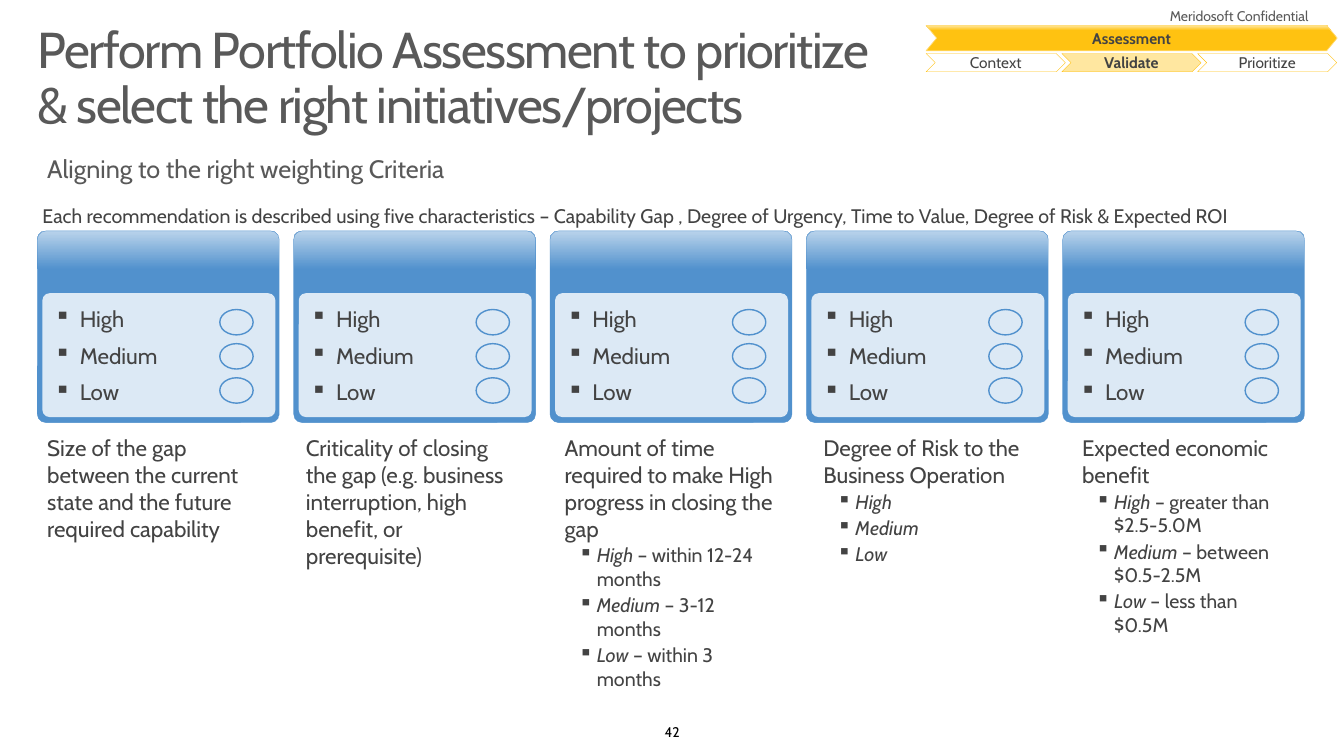
import copy

import lxml.etree
import pptx
import pptx.dml.color
import pptx.enum.shapes
import pptx.enum.text
import pptx.oxml.ns
import pptx.util

Cm, Pt = pptx.util.Cm, pptx.util.Pt
SHAPE = pptx.enum.shapes.MSO_SHAPE
ALIGN = pptx.enum.text.PP_ALIGN
ANCHOR = pptx.enum.text.MSO_ANCHOR
FIT = pptx.enum.text.MSO_AUTO_SIZE.SHAPE_TO_FIT_TEXT

COLORS = {
    "text": "434343", "heading": "595959", "black": "000000", "white": "FFFFFF",
    "blue": "5191CD", "sky": "B9D3EB", "ice": "DCE9F5",
    "gold": "FFC211", "sand": "FFE7A0", "wheat": "FFDA70",
}

TITLE = "Perform Portfolio Assessment to prioritize & select the right initiatives/projects"
SUBTITLE = "Aligning to the right weighting Criteria"
INTRO = ("Each recommendation is described using five characteristics – Capability Gap , "
         "Degree of Urgency, Time to Value, Degree of Risk & Expected ROI")
CONFIDENTIAL = "Meridosoft Confidential"
PAGE_NUMBER = "42"
STAGE = "Assessment"
PHASES = [("Context", "white", False), ("Validate", "sand", True), ("Prioritize", None, False)]
LEVELS = ["High", "Medium", "Low"]

# description, explanation of each level, height of the description
CRITERIA = [
    ("Size of the gap between the current state and the future required capability", [], 3.0),
    ("Criticality of closing the gap (e.g. business interruption, high benefit, or prerequisite)",
     [], 4.37),
    ("Amount of time required to make High progress in closing the gap",
     ["– within 12-24 months", "– 3-12 months", "– within 3 months"], 6.76),
    ("Degree of Risk to the Business Operation", ["", "", ""], 3.61),
    ("Expected economic benefit",
     ["– greater than $2.5-5.0M", "– between $0.5-2.5M", "– less than $0.5M"], 5.38),
]

LEFT = 0.94
CARD_STEP, CARD_TOP, CARD_WIDTH, CARD_HEIGHT = 6.46, 5.82, 6.1, 4.83
PANEL_INSET, PANEL_TOP, PANEL_WIDTH, PANEL_HEIGHT = 0.13, 7.39, 5.87, 3.12
MARK_OFFSET, MARK_TOP, MARK_STEP, MARK_WIDTH, MARK_HEIGHT = 4.6, 7.8, 0.86, 0.84, 0.64
NOTE_STEP, NOTE_TOP, NOTE_WIDTH = 6.52, 10.82, 5.84
STAGE_LEFT, STAGE_TOP, STAGE_WIDTH, STAGE_HEIGHT = 23.34, 0.64, 10.36, 0.64
PHASE_TOP, PHASE_STEP, PHASE_WIDTH, PHASE_HEIGHT = 1.35, 3.42, 3.51, 0.46

DEFAULT_INSETS = (0.25, 0.13, 0.25, 0.13)
NO_INSETS = (0, 0, 0, 0)
LEVEL_FORMAT = {"space_before": Pt(6), "space_after": Pt(1)}
NOTE_FORMAT = {"space_before": Pt(3)}
NOTE_LEVEL_FORMAT = {"space_before": Pt(1), "space_after": Pt(1)}


def rgb(name):
    return pptx.dml.color.RGBColor.from_string(COLORS[name])


def set_attributes(target, values):
    for name, value in values.items():
        setattr(target, name, value)


def add_bullet(para, margin, hanging):
    properties = para._p.get_or_add_pPr()
    properties.set("marL", str(Cm(margin)))
    properties.set("indent", str(-Cm(hanging)))
    tag = pptx.oxml.ns.qn
    color = lxml.etree.SubElement(properties, tag("a:buClr"))
    lxml.etree.SubElement(color, tag("a:srgbClr")).set("val", COLORS["text"])
    lxml.etree.SubElement(properties, tag("a:buChar")).set("char", "▪")


def write(box, paragraphs, color="text", insets=DEFAULT_INSETS, **frame_values):
    """Fill a box with paragraphs given as (runs, format, bullet); a run is (text, font values)."""
    frame = box.text_frame
    sides = ("margin_left", "margin_top", "margin_right", "margin_bottom")
    set_attributes(frame, dict(zip(sides, map(Cm, insets))))
    set_attributes(frame, {"word_wrap": True, **frame_values})
    for index, (runs, para_format, bullet) in enumerate(paragraphs):
        para = frame.add_paragraph() if index else frame.paragraphs[0]
        set_attributes(para, {"alignment": ALIGN.LEFT, **para_format})
        if bullet:
            add_bullet(para, *bullet)
        for text, font_values in runs:
            span = para.add_run()
            span.text = text
            set_attributes(span.font, {"name": "Cabin", **font_values})
            span.font.color.rgb = rgb(color)


def line_of(text, size, bold=False, **para_format):
    return [([(text, {"size": Pt(size), "bold": bold})], para_format, None)]


def add_text(page, area, paragraphs, **options):
    box = page.shapes.add_textbox(*map(Cm, area))
    write(box, paragraphs, auto_size=FIT, **options)
    return box


def add_box(group, kind, area, fill=None, line=None, width=0.25, adjust=None):
    """Add a preset shape; a pair of fill colours gives a gradient that ends at the top."""
    box = group.shapes.add_shape(kind, *map(Cm, area))
    box.shadow.inherit = False
    if adjust is not None:
        box.adjustments[0] = adjust
    if isinstance(fill, tuple):
        base, tip = fill
        box.fill.gradient()
        box.fill.gradient_angle = 90
        stop_list = box.element.xpath(".//a:gsLst")[0]
        stop_list.append(copy.deepcopy(stop_list[0]))
        settings = [(0, base), (0.8, base), (1, tip)]
        for stop, (position, color) in zip(box.fill.gradient_stops, settings):
            stop.position = position
            stop.color.rgb = rgb(color)
    elif fill:
        box.fill.solid()
        box.fill.fore_color.rgb = rgb(fill)
    else:
        box.fill.background()
    if line:
        box.line.color.rgb = rgb(line)
        box.line.width = Pt(width)
    else:
        box.line.fill.background()
    return box


def add_card(group, left):
    add_box(group, SHAPE.ROUNDED_RECTANGLE, (left, CARD_TOP, CARD_WIDTH, CARD_HEIGHT),
            ("blue", "sky"), "blue", adjust=0.045)
    panel = add_box(group, SHAPE.ROUNDED_RECTANGLE,
                    (left + PANEL_INSET, PANEL_TOP, PANEL_WIDTH, PANEL_HEIGHT),
                    "ice", adjust=0.057)
    write(panel, [([(level, {"size": Pt(16)})], LEVEL_FORMAT, (0.64, 0.64)) for level in LEVELS],
          vertical_anchor=ANCHOR.MIDDLE)
    for row in range(len(LEVELS)):
        add_box(group, SHAPE.OVAL, (left + MARK_OFFSET, MARK_TOP + row * MARK_STEP,
                                    MARK_WIDTH, MARK_HEIGHT), line="blue", width=1)


def add_note(page, left, height, description, explanations):
    paragraphs = line_of(description, 16, **NOTE_FORMAT)
    for level, explanation in zip(LEVELS, explanations):
        runs = [(level, {"size": Pt(14), "italic": True})]
        if explanation:
            runs.append((" " + explanation, {"size": Pt(14), "italic": False}))
        paragraphs.append((runs, NOTE_LEVEL_FORMAT, (0.81, 0.46)))
    add_text(page, (left, NOTE_TOP, NOTE_WIDTH, height), paragraphs)


def add_tracker(page):
    group = page.shapes.add_group_shape()
    stage = add_box(group, SHAPE.CHEVRON, (STAGE_LEFT, STAGE_TOP, STAGE_WIDTH, STAGE_HEIGHT),
                    ("gold", "sand"), "wheat", 0.5, 0.417)
    labels = [(stage, STAGE, True)]
    for index, (name, fill, bold) in enumerate(PHASES):
        area = (STAGE_LEFT + index * PHASE_STEP, PHASE_TOP, PHASE_WIDTH, PHASE_HEIGHT)
        labels.append((add_box(group, SHAPE.CHEVRON, area, fill, "gold"), name, bold))
    for box, name, bold in labels:
        write(box, line_of(name, 11, bold, alignment=ALIGN.CENTER), insets=NO_INSETS,
              vertical_anchor=ANCHOR.MIDDLE)


def main():
    deck = pptx.Presentation()
    deck.slide_width, deck.slide_height = Cm(33.87), Cm(19.05)
    page = deck.slides.add_slide(deck.slide_layouts[6])

    add_text(page, (28.8, 0.2, 4.17, 0.43), line_of(CONFIDENTIAL, 10, alignment=ALIGN.RIGHT),
             color="heading", insets=NO_INSETS)
    cards = page.shapes.add_group_shape()
    for index, (description, explanations, height) in enumerate(CRITERIA):
        add_card(cards, LEFT + index * CARD_STEP)
        add_note(page, LEFT + index * NOTE_STEP, height, description, explanations)
    add_text(page, (LEFT, 5.0, 32, 0.86), line_of(INTRO, 14), insets=(0.13,) * 4)
    add_text(page, (LEFT, 3.73, 32, 0.76), line_of(SUBTITLE, 18, space_before=Pt(12)),
             color="heading")
    title = add_text(page, (LEFT, 0.64, 20.98, 1.4), line_of(TITLE, 36, line_spacing=0.9),
                     color="heading", insets=NO_INSETS)
    title.text_frame.paragraphs[0].runs[0].font._element.set("spc", "-100")
    add_text(page, (15.57, 18.11, 2.74, 0.69), line_of(PAGE_NUMBER, 10, alignment=ALIGN.CENTER),
             color="black")
    add_tracker(page)
    deck.save("out.pptx")


if __name__ == "__main__":
    main()
